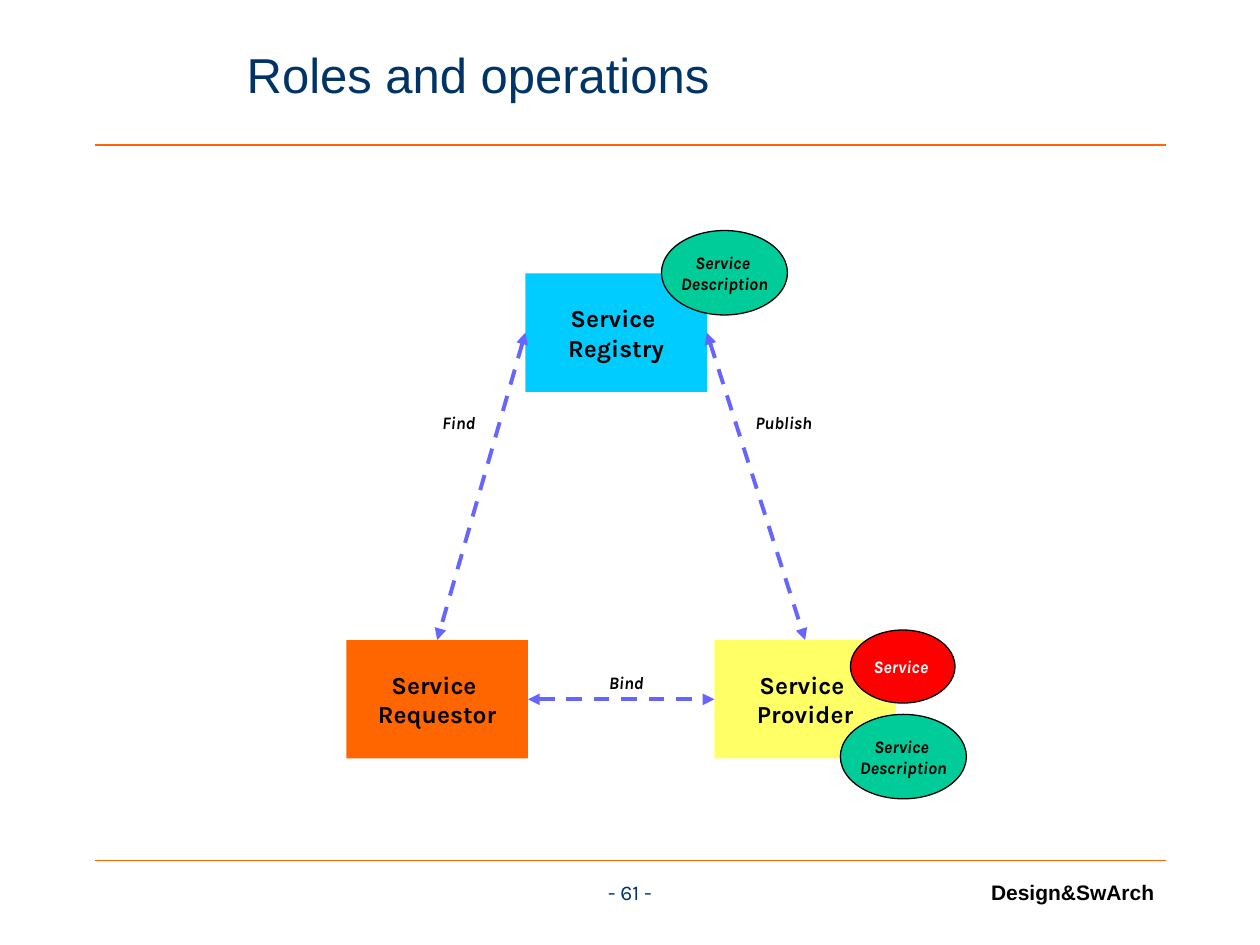
import dataclasses
import typing

import lxml.etree
import pptx
import pptx.dml.color
import pptx.enum.dml
import pptx.enum.shapes
import pptx.enum.text
import pptx.oxml.ns
import pptx.util

Inches = pptx.util.Inches
Align = pptx.enum.text.PP_ALIGN
Anchor = pptx.enum.text.MSO_ANCHOR
Kind = pptx.enum.shapes.MSO_SHAPE


@dataclasses.dataclass(frozen=True)
class Theme:
    black: str = "000000"
    white: str = "FFFFFF"
    navy: str = "003366"
    orange: str = "FF6600"
    yellow: str = "FFFF66"
    cyan: str = "00CCFF"
    green: str = "00CC99"
    red: str = "FF0000"
    violet: str = "6666FF"
    head: str = "Arial"
    body: str = "Karla"
    title: int = 28
    role: int = 14
    foot: int = 12
    note: int = 10
    thin: float = 0.75
    thick: float = 2.25


LOOK = Theme()


class Style(typing.NamedTuple):
    size: int
    color: str = LOOK.black
    font: str = LOOK.body
    bold: bool = True
    slant: bool = False
    align: Align = Align.CENTER
    anchor: Anchor = Anchor.MIDDLE


class Area(typing.NamedTuple):
    left: float
    top: float
    width: float
    height: float


class Role(typing.NamedTuple):
    text: str
    left: float
    top: float
    fill: str


class Badge(typing.NamedTuple):
    text: str
    area: Area
    fill: str
    color: str = LOOK.black


class Label(typing.NamedTuple):
    text: str
    area: Area
    style: Style


class Link(typing.NamedTuple):
    start: tuple[float, float]
    end: tuple[float, float]


WIDE, HIGH = 1.44, 0.94
ROLE = Style(LOOK.role)
NOTE = Style(LOOK.note, slant=True)
TITLE = Style(LOOK.title, LOOK.navy, LOOK.head, False, align=Align.LEFT)
BRAND = Style(LOOK.foot, font=LOOK.head, align=Align.RIGHT, anchor=Anchor.TOP)
PAGE = Style(LOOK.foot, LOOK.navy, bold=False, anchor=Anchor.TOP)

ASKER = Role("Service \nRequestor", 2.75, 5.08, LOOK.orange)
GIVER = Role("Service \nProvider", 5.67, 5.08, LOOK.yellow)
INDEX = Role("Service \nRegistry", 4.17, 2.17, LOOK.cyan)

BADGES = [
    Badge("Service \nDescription", Area(6.67, 5.67, 1, 0.67), LOOK.green),
    Badge("Service ", Area(6.75, 5, 0.83, 0.58), LOOK.red, LOOK.white),
    Badge("Service \nDescription", Area(5.25, 1.83, 1, 0.67), LOOK.green),
]
LABELS = [
    Label("Roles and operations", Area(1.86, 0.13, 6.21, 0.92), TITLE),
    Label("Design&SwArch", Area(5.59, 6.93, 3.67, 0.25), BRAND),
    Label("- 61 -", Area(4.47, 6.93, 1.06, 0.25), PAGE),
    Label("Find", Area(2.92, 3.19, WIDE, 0.33), NOTE),
    Label("Publish", Area(5.5, 3.19, WIDE, 0.33), NOTE),
    Label("Bind", Area(4.25, 5.25, WIDE, 0.33), NOTE),
]


def paint(text: str) -> pptx.dml.color.RGBColor:
    return pptx.dml.color.RGBColor.from_string(text)


def write(shape, text: str, style: Style, wrap: bool) -> None:
    frame = shape.text_frame
    frame.text = text
    frame.word_wrap = wrap
    frame.vertical_anchor = style.anchor
    for line in frame.paragraphs:
        line.alignment = style.align
        for run in line.runs:
            run.font.name = style.font
            run.font.size = pptx.util.Pt(style.size)
            run.font.bold = style.bold
            run.font.italic = style.slant
            run.font.color.rgb = paint(style.color)


def add_label(slide, label: Label) -> None:
    box = slide.shapes.add_textbox(*map(Inches, label.area))
    write(box, label.text, label.style, True)


def add_node(slide, kind: Kind, area: Area, fill: str, text: str, style: Style):
    node = slide.shapes.add_shape(kind, *map(Inches, area))
    node.shadow.inherit = False
    node.fill.solid()
    node.fill.fore_color.rgb = paint(fill)
    node.line.fill.background()
    write(node, text, style, False)
    return node


def add_role(slide, role: Role) -> None:
    area = Area(role.left, role.top, WIDE, HIGH)
    add_node(slide, Kind.RECTANGLE, area, role.fill, role.text, ROLE)


def add_badge(slide, badge: Badge) -> None:
    style = NOTE._replace(color=badge.color)
    node = add_node(slide, Kind.OVAL, badge.area, badge.fill, badge.text, style)
    node.line.color.rgb = paint(LOOK.black)
    node.line.width = pptx.util.Pt(LOOK.thin)


def add_line(slide, link: Link, color: str, width: float):
    straight = pptx.enum.shapes.MSO_CONNECTOR.STRAIGHT
    ends = map(Inches, link.start + link.end)
    line = slide.shapes.add_connector(straight, *ends)
    line.line.color.rgb = paint(color)
    line.line.width = pptx.util.Pt(width)
    props = line._element.spPr
    lxml.etree.SubElement(props, pptx.oxml.ns.qn("a:effectLst"))
    return line


def add_arrow(slide, link: Link) -> None:
    line = add_line(slide, link, LOOK.violet, LOOK.thick).line
    line.dash_style = pptx.enum.dml.MSO_LINE.DASH
    stroke = line._get_or_add_ln()
    for end in ("a:headEnd", "a:tailEnd"):
        lxml.etree.SubElement(stroke, pptx.oxml.ns.qn(end), type="triangle")


def main() -> None:
    deck = pptx.Presentation()
    deck.slide_width, deck.slide_height = Inches(10), Inches(7.5)
    slide = deck.slides.add_slide(deck.slide_layouts[6])
    for y in (6.83, 1.15):
        add_line(slide, Link((0.75, y), (9.25, y)), LOOK.orange, LOOK.thin)
    for role in (ASKER, GIVER, INDEX):
        add_role(slide, role)
    middle = INDEX.top + HIGH / 2
    base = ASKER.top + HIGH / 2
    for link in (
        Link((INDEX.left, middle), (ASKER.left + WIDE / 2, ASKER.top)),
        Link((INDEX.left + WIDE, middle), (GIVER.left + WIDE / 2, GIVER.top)),
        Link((ASKER.left + WIDE, base), (GIVER.left, base)),
    ):
        add_arrow(slide, link)
    for badge in BADGES:
        add_badge(slide, badge)
    for label in LABELS:
        add_label(slide, label)
    deck.save("out.pptx")


if __name__ == "__main__":
    main()
